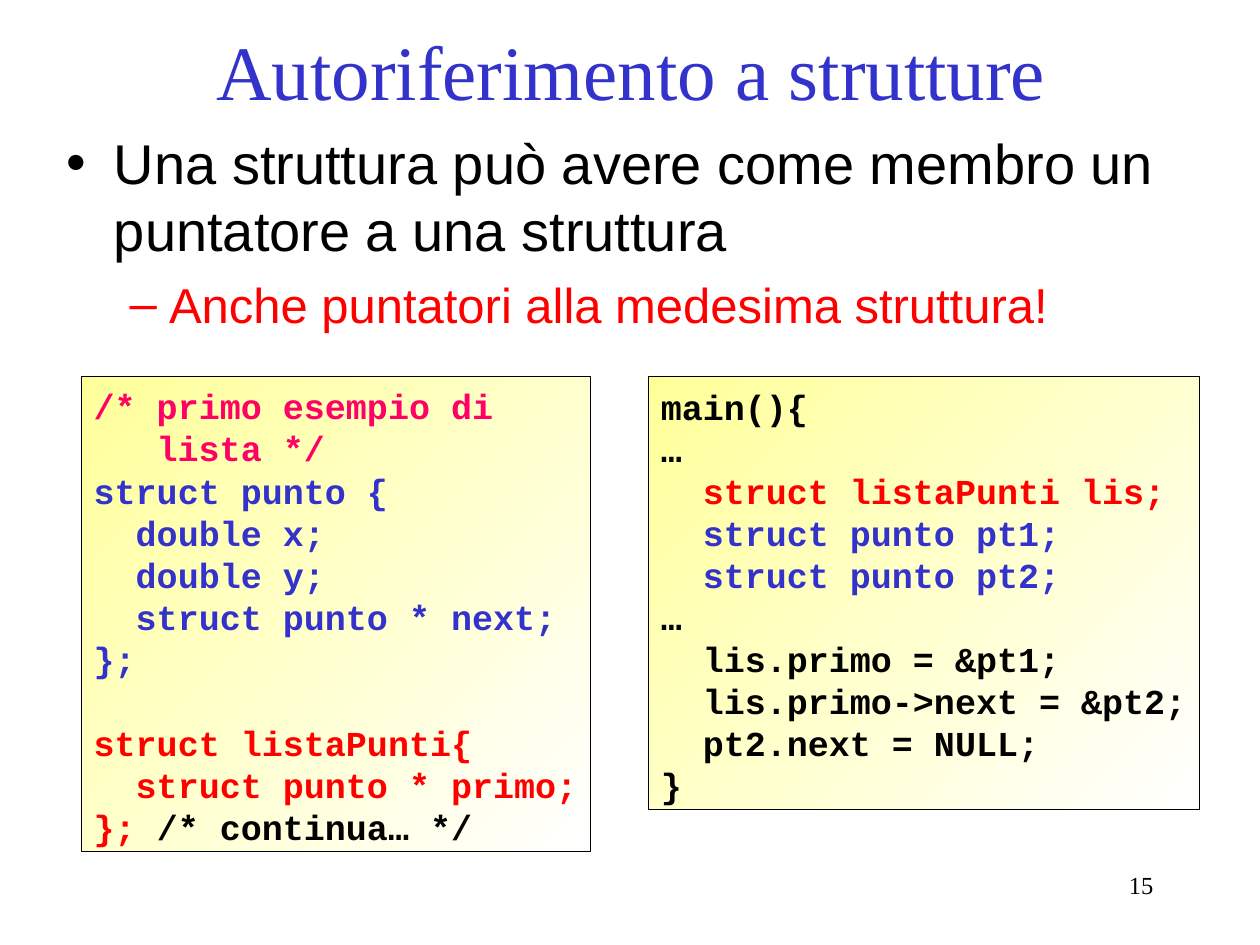
from dataclasses import dataclass

from lxml.etree import SubElement
from pptx import Presentation
from pptx.dml.color import RGBColor
from pptx.enum.shapes import MSO_SHAPE
from pptx.enum.text import MSO_ANCHOR, PP_ALIGN
from pptx.oxml.ns import qn
from pptx.util import Pt


@dataclass(frozen=True)
class Theme:
    black: str = "000000"
    blue: str = "3333CC"
    red: str = "FF0000"
    pink: str = "FF0066"
    yellow: str = "FFFF99"
    white: str = "FFFFFF"
    serif: str = "Times New Roman"
    sans: str = "Arial"
    mono: str = "Courier New"
    title: int = 44
    body: int = 32
    sub: int = 28
    code: int = 20
    number: int = 14


T = Theme()


def add_run(p, text, font, size, color, bold=False):
    r = p.add_run()
    r.text = text
    r.font.name = font
    r.font.size = Pt(size)
    r.font.bold = bold
    r.font.color.rgb = RGBColor.from_string(color)


def add_text_box(s, left, top, width, height, margin_top):
    tf = s.shapes.add_textbox(Pt(left), Pt(top), Pt(width), Pt(height)).text_frame
    tf.word_wrap = True
    tf.margin_top = Pt(margin_top)
    return tf


prs = Presentation()
prs.slide_width, prs.slide_height = Pt(720), Pt(540)
s = prs.slides.add_slide(prs.slide_layouts[6])

# Page number
p = add_text_box(s, 516.25, 492, 150, 36, 5).paragraphs[0]
p.alignment = PP_ALIGN.RIGHT
add_run(p, "15", T.serif, T.number, T.black)

# Title
tf = add_text_box(s, 18, 6, 685.5, 62.5, 9)
tf.vertical_anchor = MSO_ANCHOR.MIDDLE
p = tf.paragraphs[0]
p.alignment = PP_ALIGN.CENTER
add_run(p, "Autoriferimento a strutture", T.serif, T.title, T.blue)

# Bullets: text, level, size, colour, mark, margin, hanging, space before, line height
bullets = [
    ("Una struttura può avere come membro un puntatore a una struttura",
     0, T.body, T.black, "•", 27, 27, 8, 38.25),
    ("Anche puntatori alla medesima struttura!",
     1, T.sub, T.red, "–", 58.5, 22.5, 7, 33.5),
]
tf = add_text_box(s, 31, 68.5, 658, 427, 5)
for i, (text, level, size, color, mark, margin, hang, before, line) in enumerate(bullets):
    p = tf.paragraphs[0] if i == 0 else tf.add_paragraph()
    p.level = level
    p.space_before, p.line_spacing = Pt(before), Pt(line)
    pPr = p._p.get_or_add_pPr()
    pPr.set("marL", str(Pt(margin)))
    pPr.set("indent", str(-Pt(hang)))
    bu_color = SubElement(pPr, qn("a:buClr"))
    SubElement(bu_color, qn("a:srgbClr"), val=color)
    SubElement(pPr, qn("a:buFont"), typeface=T.sans)
    SubElement(pPr, qn("a:buChar"), char=mark)
    add_run(p, text, T.sans, size, color)

# Code lines: indent in characters, blank lines above, runs
struct_code = [
    (0, 0, [("/* primo esempio di", T.pink)]),
    (3, 0, [("lista */", T.pink)]),
    (0, 0, [("struct punto {", T.blue)]),
    (2, 0, [("double x;", T.blue)]),
    (2, 0, [("double y;", T.blue)]),
    (2, 0, [("struct punto * next;", T.blue)]),
    (0, 0, [("};", T.blue)]),
    (0, 1, [("struct listaPunti{", T.red)]),
    (2, 0, [("struct punto * primo;", T.red)]),
    (0, 0, [("};", T.red), (" /* continua… */", T.black)]),
]
main_code = [
    (0, 0, [("main(){", T.black)]),
    (0, 0, [("…", T.black)]),
    (2, 0, [("struct listaPunti lis;", T.red)]),
    (2, 0, [("struct punto pt1;", T.blue)]),
    (2, 0, [("struct punto pt2;", T.blue)]),
    (0, 0, [("…", T.black)]),
    (2, 0, [("lis.primo = &pt1;", T.black)]),
    (2, 0, [("lis.primo->next = &pt2;", T.black)]),
    (2, 0, [("pt2.next = NULL;", T.black)]),
    (0, 0, [("}", T.black)]),
]
CHAR_WIDTH, LINE_HEIGHT = 0.6 * T.code, 1.2 * T.code

# Code boxes
for left, width, height, lines in [(46.5, 291, 271.5, struct_code),
                                   (370.5, 315, 247.5, main_code)]:
    sp = s.shapes.add_shape(MSO_SHAPE.RECTANGLE, Pt(left), Pt(215), Pt(width), Pt(height))
    sp.shadow.inherit = False
    sp.fill.gradient()
    sp.fill.gradient_angle = 315
    for stop, position, color in zip(sp.fill.gradient_stops, (0, 1), (T.yellow, T.white)):
        stop.position = position
        stop.color.rgb = RGBColor.from_string(color)
    sp.line.color.rgb = RGBColor.from_string(T.black)
    sp.line.width = Pt(0.75)

    tf = sp.text_frame
    tf.word_wrap = True
    tf.vertical_anchor = MSO_ANCHOR.TOP
    tf.margin_top, tf.margin_right = Pt(5), Pt(0)
    for i, (indent, blanks, runs) in enumerate(lines):
        p = tf.paragraphs[0] if i == 0 else tf.add_paragraph()
        p.alignment = PP_ALIGN.LEFT
        p.line_spacing = Pt(LINE_HEIGHT)
        p.space_before = Pt(blanks * LINE_HEIGHT)
        p._p.get_or_add_pPr().set("marL", str(Pt(indent * CHAR_WIDTH)))
        for text, color in runs:
            add_run(p, text, T.mono, T.code, color, bold=True)

prs.save("out.pptx")
